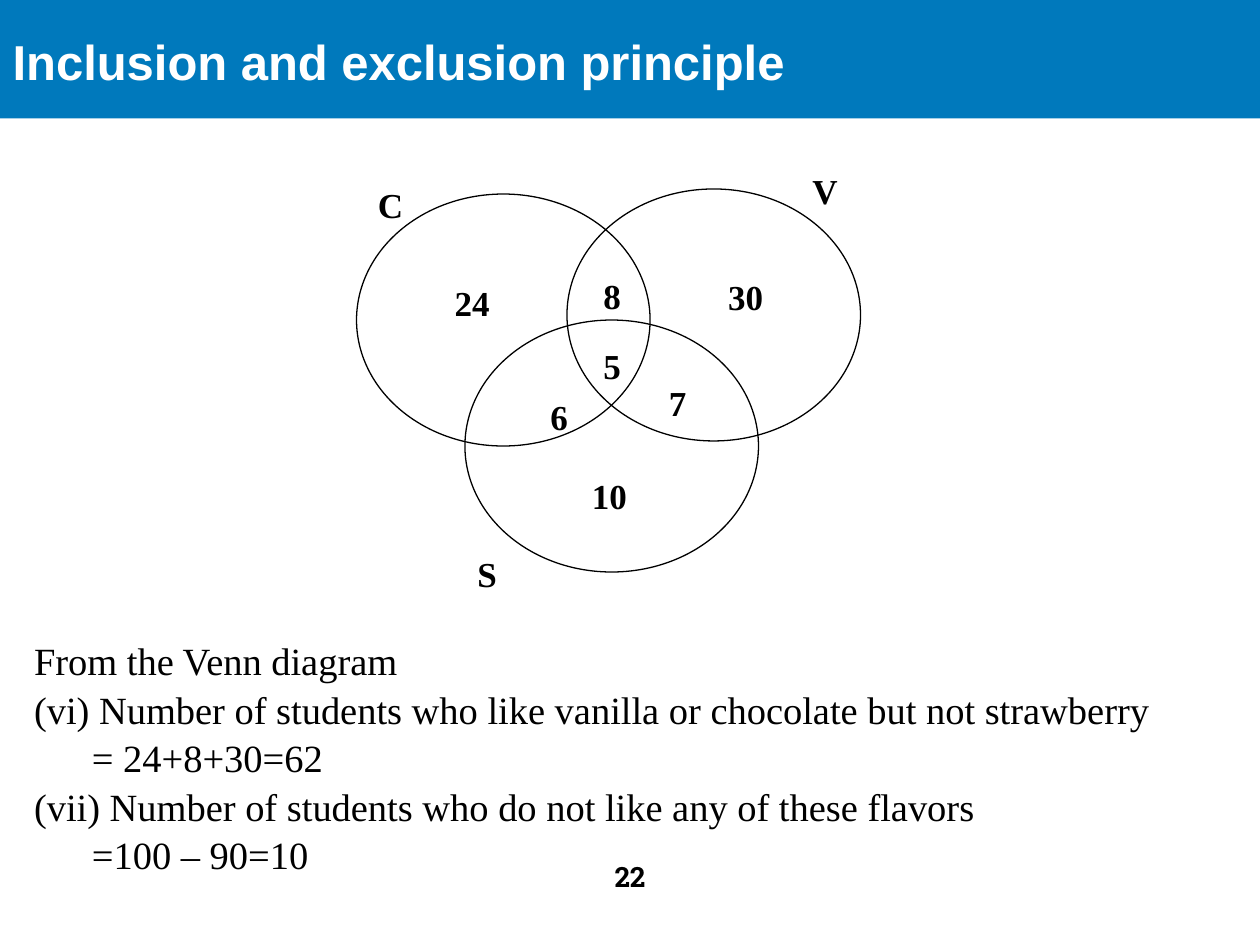
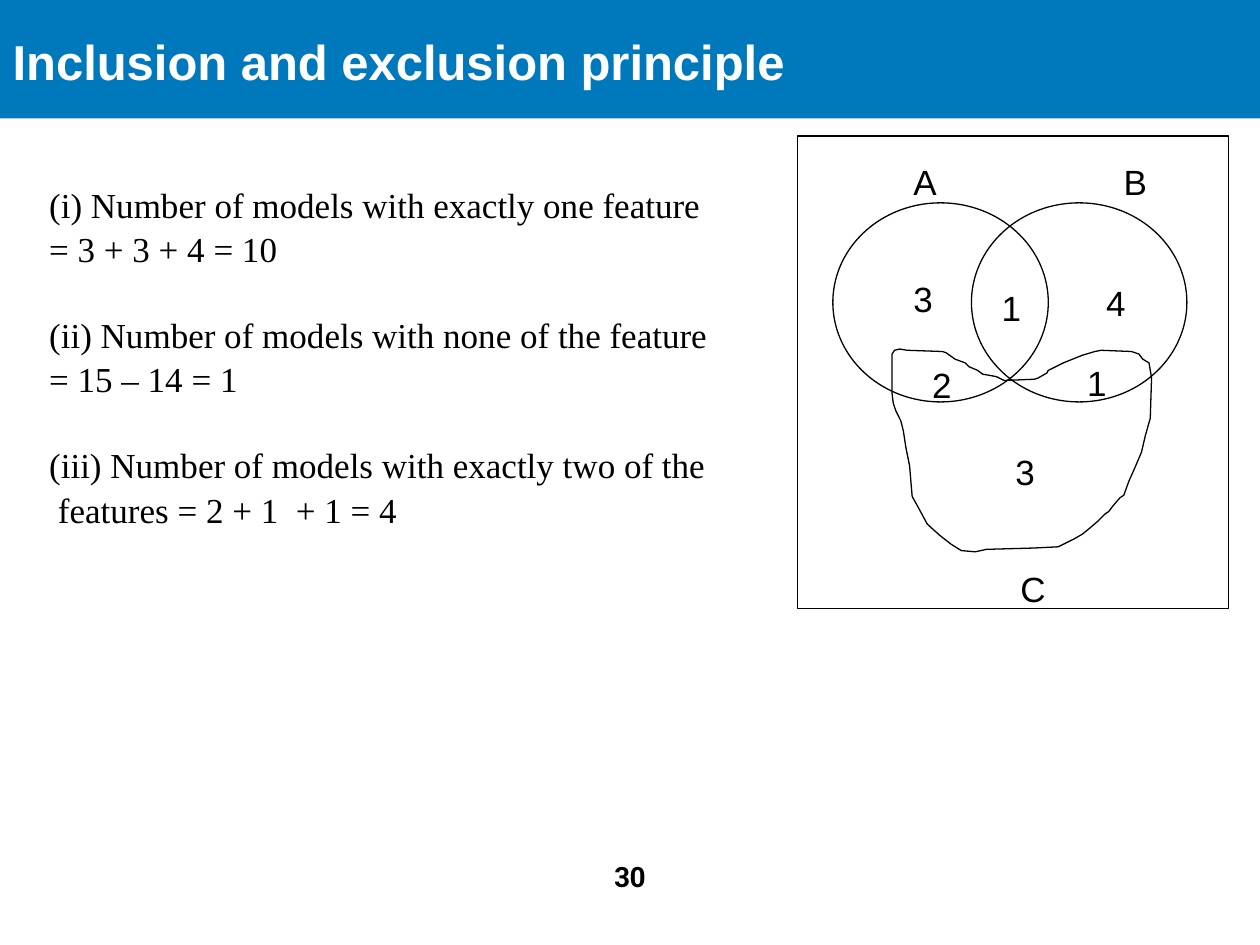
import pptx
import pptx.dml.color
import pptx.enum.shapes
import pptx.enum.text
import pptx.util
from lxml import etree

Inches = pptx.util.Inches
Pt = pptx.util.Pt
Shape = pptx.enum.shapes.MSO_SHAPE
Align = pptx.enum.text.PP_ALIGN

BLUE = pptx.dml.color.RGBColor(0x00, 0x79, 0xBC)
WHITE = pptx.dml.color.RGBColor(0xFF, 0xFF, 0xFF)
BLACK = pptx.dml.color.RGBColor(0x00, 0x00, 0x00)
SANS, SERIF, SLAB = "Arial", "Times New Roman", "Roboto Slab"
TITLE = "Inclusion and exclusion principle"
LEADING = 1.05
DRAWING = "{http://schemas.openxmlformats.org/drawingml/2006/main}"

# Outline of set C in the feature diagram, in inches.
BLOB = [
    (7.08, 2.81), (7.1, 2.78), (7.14, 2.77), (7.2, 2.78), (7.48, 2.79),
    (7.51, 2.8), (7.58, 2.85), (7.66, 2.88), (7.69, 2.91), (7.76, 2.94),
    (7.8, 2.97), (7.86, 2.98), (7.91, 2.99), (7.97, 3.02), (8.21, 3.01),
    (8.24, 3), (8.31, 2.96), (8.32, 2.94), (8.44, 2.88), (8.54, 2.84),
    (8.59, 2.82), (8.69, 2.79), (8.74, 2.78), (8.98, 2.79), (9.04, 2.81),
    (9.07, 2.85), (9.12, 2.88), (9.14, 3), (9.13, 3.32), (9.11, 3.39),
    (9.09, 3.46), (9.06, 3.59), (9, 3.73), (8.96, 3.82), (8.92, 3.93),
    (8.89, 3.95), (8.83, 4.02), (8.8, 4.06), (8.77, 4.08), (8.71, 4.14),
    (8.64, 4.2), (8.59, 4.24), (8.52, 4.28), (8.48, 4.3), (8.4, 4.34),
    (8.2, 4.35), (7.83, 4.36), (7.74, 4.38), (7.63, 4.37), (7.55, 4.32),
    (7.46, 4.25), (7.36, 4.16), (7.29, 4.03), (7.24, 3.94), (7.22, 3.7),
    (7.19, 3.55), (7.17, 3.42), (7.15, 3.34), (7.11, 3.26), (7.09, 3.2),
    (7.08, 3.12),
]


def style(par, size, font, color=BLACK, bold=False, align=Align.LEFT):
    par.alignment = align
    par.line_spacing = LEADING
    par.space_before = Pt(0)
    for run in par.runs:
        run.font.size = Pt(size)
        run.font.name = font
        run.font.bold = bold
        run.font.color.rgb = color


def place(shape, left, top, width, height):
    shape.left, shape.top = Inches(left), Inches(top)
    shape.width, shape.height = Inches(width), Inches(height)


def label(slide, text, left, top, width=0.8, height=0.44, **look):
    box = slide.shapes.add_textbox(
        Inches(left), Inches(top), Inches(width), Inches(height))
    box.text_frame.word_wrap = True
    box.text_frame.text = text
    style(box.text_frame.paragraphs[0], **look)


def outline(shape):
    """Leave only a thin black line on the shape."""
    shape.shadow.inherit = False
    shape.fill.background()
    shape.line.color.rgb = BLACK
    shape.line.width = Pt(0.75)


def draw(slide, kind, left, top, width, height):
    outline(slide.shapes.add_shape(
        kind, Inches(left), Inches(top), Inches(width), Inches(height)))


def trace(slide, points):
    """Draw a closed outline through the points."""
    (x, y), *rest = [(Inches(x), Inches(y)) for x, y in points]
    pen = slide.shapes.build_freeform(x, y)
    pen.add_line_segments(rest, close=True)
    outline(pen.convert_to_shape())


def start(deck, number):
    """Add a slide with the title band and the slide number."""
    slide = deck.slides.add_slide(deck.slide_layouts[1])
    band = slide.shapes.title
    place(band, 0, 0, 10, 0.94)
    band.fill.solid()
    band.fill.fore_color.rgb = BLUE
    frame = band.text_frame
    frame.text = TITLE
    frame.vertical_anchor = pptx.enum.text.MSO_ANCHOR.MIDDLE
    style(frame.paragraphs[0], 28, SANS, WHITE, True)
    label(slide, str(number), 0, 6.76, 10, 0.39,
          size=16, font=SLAB, bold=True, align=Align.CENTER)
    return slide


def answers(slide, lines, size, *area):
    """Fill the body with (text, indent in inches, gap after in points)."""
    body = slide.placeholders[1]
    place(body, *area)
    frame = body.text_frame
    frame.auto_size = pptx.enum.text.MSO_AUTO_SIZE.NONE
    frame.text = "\n".join(text for text, _, _ in lines)
    for par, (_, indent, gap) in zip(frame.paragraphs, lines):
        props = par._p.get_or_add_pPr()
        props.set("marL", str(Inches(indent)))
        props.set("indent", "0")
        etree.SubElement(props, DRAWING + "buNone")
        style(par, size, SERIF)
        par.space_after = Pt(gap)


def flavors(deck):
    slide = start(deck, 22)
    for left, top in [(2.83, 1.54), (4.5, 1.5), (3.69, 2.54)]:
        draw(slide, Shape.OVAL, left, top, 2.33, 2)
    marks = [
        ("S", 3.69, 4.32), ("C", 2.9, 1.39), ("V", 6.35, 1.28),
        ("5", 4.69, 2.67), ("8", 4.69, 2.11), ("7", 5.21, 2.96),
        ("6", 4.27, 3.07), ("30", 5.68, 2.12), ("24", 3.51, 2.17),
        ("10", 4.6, 3.7),
    ]
    for text, left, top in marks:
        label(slide, text, left, top, size=20, font=SERIF, bold=True)
    answers(slide, [
        ("From the Venn diagram", 0, 0),
        ("(vi) Number of students who like vanilla or chocolate "
         "but not strawberry", 0, 0),
        ("= 24+8+30=62", 0.46, 0),
        ("(vii) Number of students who do not like any of these flavors",
         0, 0),
        ("=100 – 90=10", 0.46, 0),
    ], 22, 0.17, 4.99, 9.4, 1.95)


def features(deck):
    slide = start(deck, 30)
    for left in (6.61, 7.71):
        draw(slide, Shape.OVAL, left, 1.61, 1.71, 1.58)
    trace(slide, BLOB)
    marks = [
        ("A", 7.15, 1.21), ("B", 8.82, 1.21), ("C", 8, 4.44),
        ("2", 7.3, 2.82), ("1", 8.53, 2.8), ("1", 7.85, 2.21),
        ("3", 7.15, 2.14), ("4", 8.68, 2.17), ("3", 7.96, 3.51),
    ]
    for text, left, top in marks:
        label(slide, text, left, top, 0.45, 0.35, size=20, font=SANS)
    draw(slide, Shape.RECTANGLE, 6.33, 1.08, 3.42, 3.75)
    answers(slide, [
        ("(i) Number of models with exactly one feature", 0, 0),
        ("= 3 + 3 + 4 = 10", 0, 24),
        ("(ii) Number of models with none of the feature", 0, 0),
        ("= 15 – 14 = 1", 0, 24),
        ("(iii) Number of models with exactly two of the", 0, 0),
        ("features = 2 + 1  + 1 = 4", 0.07, 0),
    ], 20, 0.29, 1.39, 5.7, 2.79)


def main():
    deck = pptx.Presentation()
    deck.slide_width, deck.slide_height = Inches(10), Inches(7.5)
    flavors(deck)
    features(deck)
    deck.save("out.pptx")


if __name__ == "__main__":
    main()
